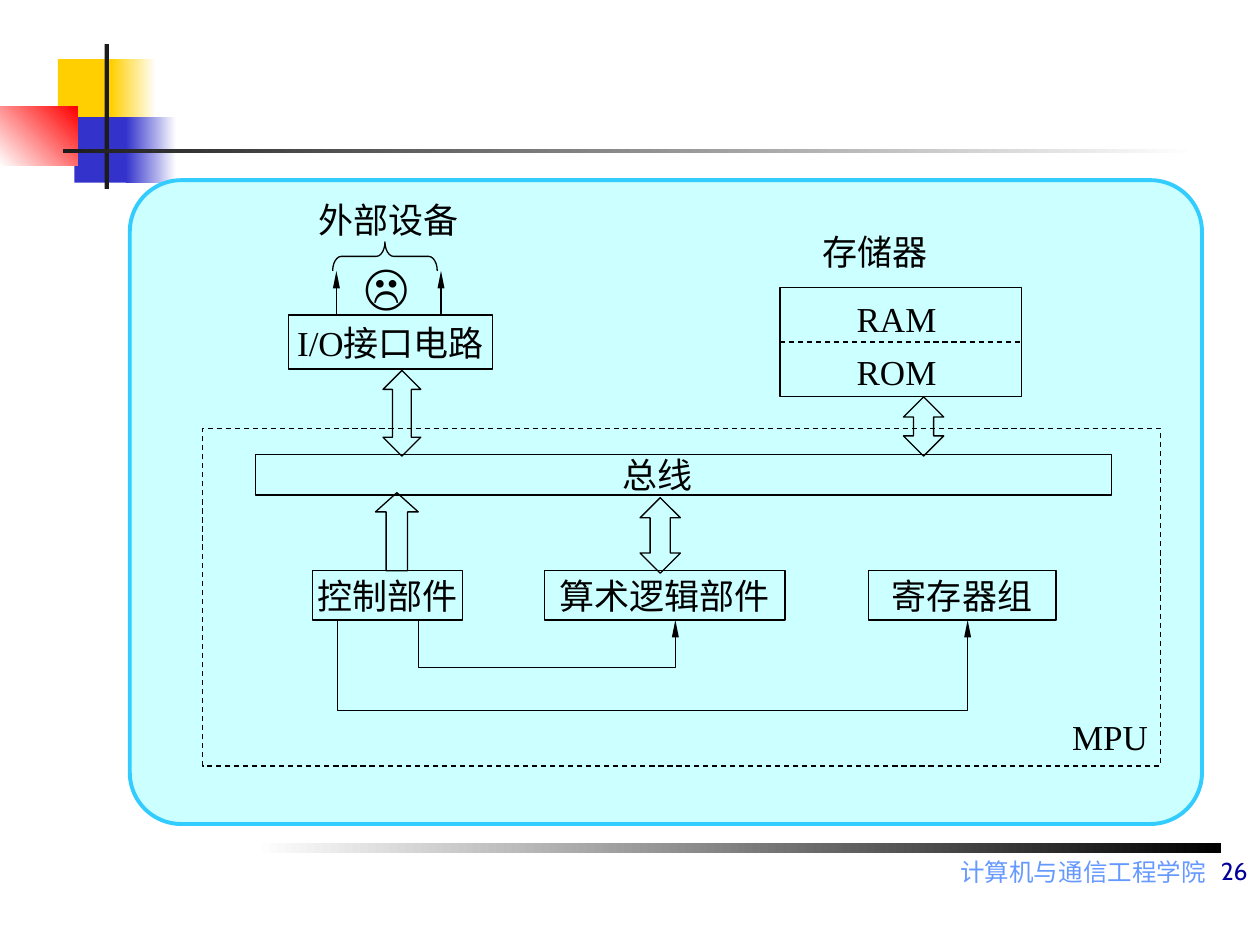
import dataclasses

import lxml.etree
import pptx
import pptx.dml.color
import pptx.enum.dml
import pptx.enum.shapes
import pptx.enum.text
import pptx.oxml.ns
import pptx.util


@dataclasses.dataclass(frozen=True)
class Theme:
    gold: str = "FFCF01"
    blue: str = "3333CC"
    red: str = "FF0000"
    dark: str = "1C1C1C"
    black: str = "000000"
    white: str = "FFFFFF"
    panel: str = "CCFFFF"
    rim: str = "33CCFF"
    school: str = "6699FF"
    page: str = "000099"
    serif: str = "Times New Roman"
    sans: str = "Cabin"
    face: str = "Lato"
    thin: float = 0.75
    thick: float = 2.25
    small: int = 14
    body: int = 20
    large: int = 28


theme = Theme()
rgb = pptx.dml.color.RGBColor.from_string
qn = pptx.oxml.ns.qn
Pt = pptx.util.Pt
KIND = pptx.enum.shapes.MSO_SHAPE
ALIGN = pptx.enum.text.PP_ALIGN
ANCHOR = pptx.enum.text.MSO_ANCHOR
DASH = pptx.enum.dml.MSO_LINE.DASH

deck = pptx.Presentation()
deck.slide_width = pptx.util.Inches(10)
deck.slide_height = pptx.util.Inches(7.5)
slide = deck.slides.add_slide(deck.slide_layouts[6])
shapes = slide.shapes

# The grid has 100 columns and 75 rows of square cells.
CELL = deck.slide_width // 100


def draw(kind, place, fill=None, line=None, width=theme.thin):
    """Add a preset shape at a grid place; a pair of fills is a gradient."""
    shape = shapes.add_shape(kind, *[round(n * CELL) for n in place])
    shape.shadow.inherit = False
    if fill is None:
        shape.fill.background()
    elif isinstance(fill, tuple):
        shape.fill.gradient()
        shape.fill.gradient_angle = 0
        for stop, tone in zip(shape.fill.gradient_stops, fill):
            stop.color.rgb = rgb(tone)
    else:
        shape.fill.solid()
        shape.fill.fore_color.rgb = rgb(fill)
    if line:
        shape.line.color.rgb = rgb(line)
        shape.line.width = Pt(width)
    else:
        shape.line.fill.background()
    return shape


def write(shape, words, size=theme.body, font=theme.serif, tone=theme.black,
          align=ALIGN.LEFT, anchor=ANCHOR.TOP, wrap=False):
    frame = shape.text_frame
    frame.word_wrap = wrap
    frame.vertical_anchor = anchor
    par = frame.paragraphs[0]
    par.alignment = align
    run = par.add_run()
    run.text = words
    run.font.size = Pt(size)
    run.font.name = font
    run.font.color.rgb = rgb(tone)


# Corner blocks and rules
for place, fill in [
    ((4.6, 4.7, 4.8, 5.2), theme.gold),
    ((8.8, 4.7, 3.6, 5.2), (theme.gold, theme.white)),
    ((5.9, 9.3, 4.6, 5.2), theme.blue),
    ((10, 9.3, 4, 5.2), (theme.blue, theme.white)),
    ((0, 8.45, 6.15, 4.7), (theme.white, theme.red)),
    ((8.3, 3.5, 0.35, 11.5), theme.dark),
    ((5, 11.8, 90, 0.35), (theme.dark, theme.white)),
    ((20.2, 66.9, 76.7, 0.8), (theme.white, theme.black)),
]:
    block = draw(KIND.RECTANGLE, place, fill)
    if theme.red in fill:
        block.fill.gradient_angle = 45

# Footer
for place, words, font, tone, anchor in [
    ((39.2, 67.5, 57.5, 2.6), "计算机与通信工程学院", theme.serif,
     theme.school, ANCHOR.TOP),
    ((52.2, 65.8, 47.8, 5), "26", theme.sans, theme.page, ANCHOR.BOTTOM),
]:
    box = shapes.add_textbox(*[round(n * CELL) for n in place])
    write(box, words, theme.small, font, tone, ALIGN.RIGHT, anchor, True)

# Panel and plain frames
panel = draw(KIND.ROUNDED_RECTANGLE, (10.3, 14.3, 85.1, 51.1), theme.panel,
             theme.rim, theme.thick)
panel.adjustments[0] = 0.08
chip = draw(KIND.RECTANGLE, (16.1, 34, 76, 26.8), line=theme.black)
chip.line.dash_style = DASH
draw(KIND.RECTANGLE, (20.3, 36.1, 67.9, 3.2), line=theme.black)
store = draw(KIND.RECTANGLE, (61.9, 22.8, 19.2, 8.7), line=theme.black)

# Named parts
for left, top, wide, high, words in [
    (24.8, 45.3, 11.9, 3.9, "控制部件"),
    (43.2, 45.3, 19.1, 3.9, "算术逻辑部件"),
    (68.9, 45.3, 14.9, 3.9, "寄存器组"),
    (22.9, 25, 16.2, 4.3, "I/O接口电路"),
]:
    part = draw(KIND.RECTANGLE, (left, top, wide, high), line=theme.black)
    write(part, words, align=ALIGN.CENTER, anchor=ANCHOR.MIDDLE)

# Block arrows to and from the bus; the double arrow lists its head first
for kind, place, first, second in [
    (KIND.UP_ARROW, (29.8, 39.1, 3.4, 6.2), 0.5, 0.45),
    (KIND.UP_DOWN_ARROW, (50.8, 39.5, 3.2, 6), 0.37, 0.5),
    (KIND.UP_DOWN_ARROW, (71.7, 31.5, 3.2, 4.7), 0.29, 0.5),
    (KIND.UP_DOWN_ARROW, (30.4, 29.4, 3, 6.8), 0.45, 0.5),
]:
    arrow = draw(kind, place, line=theme.black)
    arrow.adjustments[0] = first
    arrow.adjustments[1] = second

# Brace over the devices, turned to point up
brace = draw(KIND.LEFT_BRACE, (29.4, 16.2, 2.3, 8.3), line=theme.black)
brace.rotation = 90
brace.adjustments[0] = 0.3

# Control wires
wires = []
for start, end, low in [(26.8, 76.8, 56.4), (33.2, 53.6, 53)]:
    first, *rest = [(round(x * CELL), round(y * CELL)) for x, y in
                    [(start, 49.2), (start, low), (end, low), (end, 49.2)]]
    pen = shapes.build_freeform(*first)
    pen.add_line_segments(rest, close=False)
    wire = pen.convert_to_shape()
    wire.shadow.inherit = False
    wire.fill.background()
    wires.append(wire)

# Straight lines: two device leads and the split of the store
leads = []
for x, top, end, low in [(35, 25.1, 35, 21.5), (26.7, 25.1, 26.7, 21.5),
                         (61.9, 27.2, 81.1, 27.2)]:
    leads.append(shapes.add_connector(
        pptx.enum.shapes.MSO_CONNECTOR.STRAIGHT,
        *[round(n * CELL) for n in (x, top, end, low)]))
split = leads[-1]
split.begin_connect(store, 1)
split.end_connect(store, 3)

for item in wires + leads:
    item.line.color.rgb = rgb(theme.black)
    item.line.width = Pt(theme.thin)
    props = item._element.spPr
    if item is split:
        item.line.dash_style = DASH
    else:
        lxml.etree.SubElement(props.find(qn("a:ln")), qn("a:tailEnd"),
                              type="triangle", w="sm", len="lg")
    if item in leads:
        lxml.etree.SubElement(props, qn("a:effectLst"))

# Free labels
for left, top, wide, high, words, size, font in [
    (48.4, 35.5, 7.7, 4.4, "总线", theme.body, theme.serif),
    (84.1, 56.3, 8.1, 4.4, "MPU", theme.body, theme.serif),
    (67, 23.1, 8.5, 4.4, "RAM", theme.body, theme.serif),
    (67, 27.3, 8.5, 4.4, "ROM", theme.body, theme.serif),
    (27.9, 19.8, 6.9, 5.7, "☹", theme.large, theme.face),
    (24.3, 15.3, 13.8, 4.4, "外部设备", theme.body, theme.serif),
    (64.3, 17.8, 13.8, 4.4, "存储器", theme.body, theme.serif),
]:
    label = shapes.add_textbox(*[round(n * CELL)
                                 for n in (left, top, wide, high)])
    write(label, words, size, font, wrap=wide > 10)

deck.save("out.pptx")
